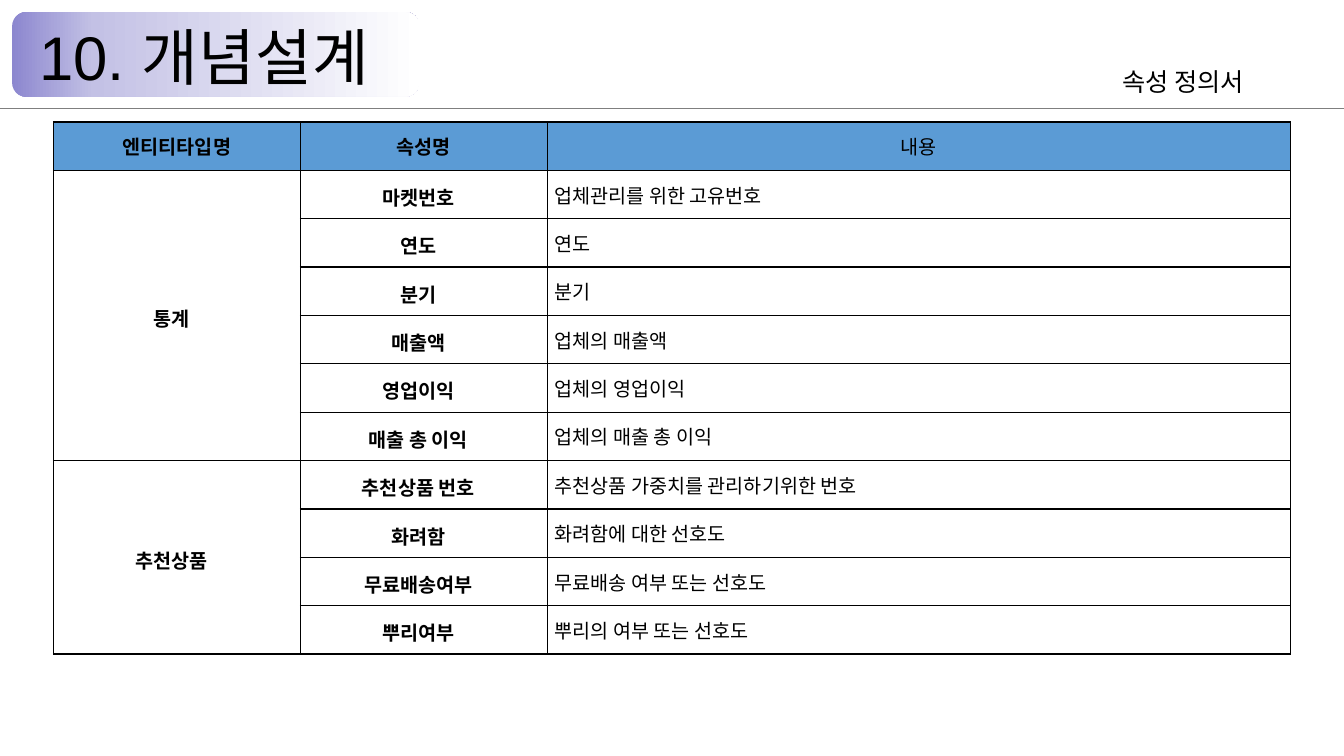
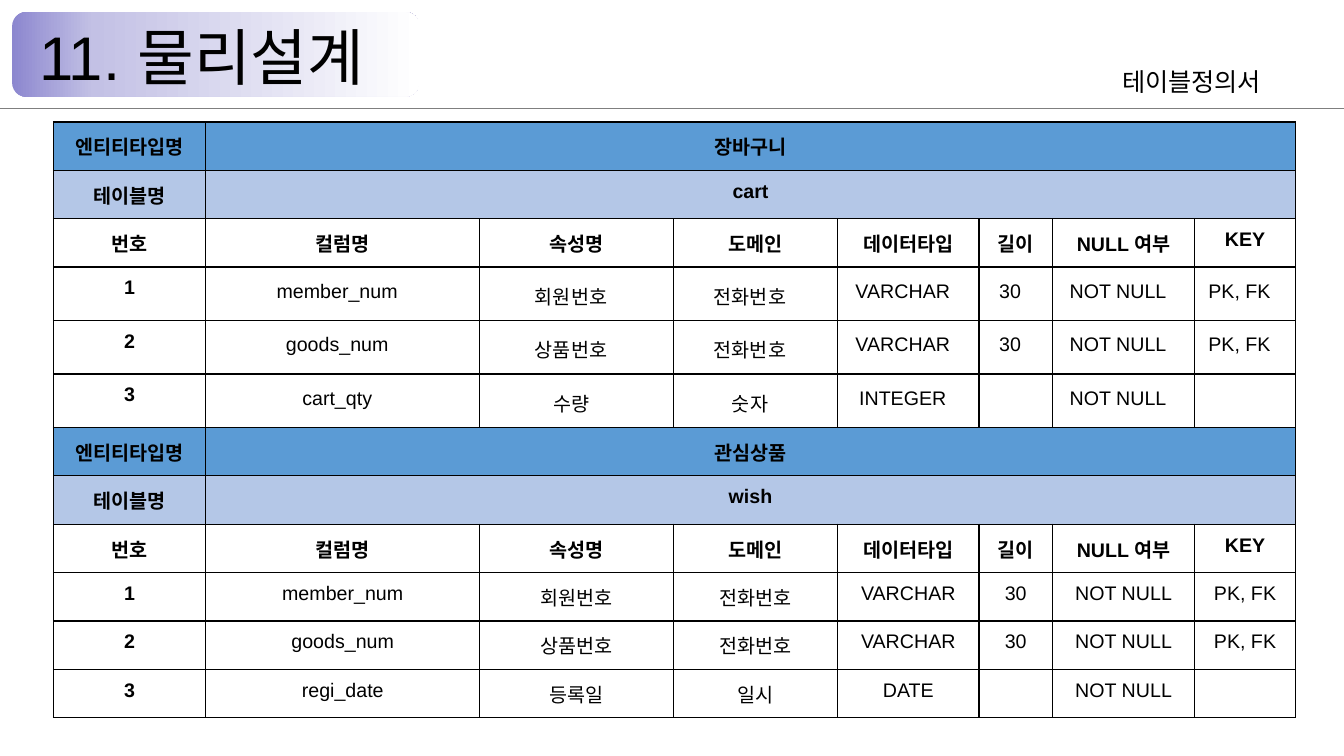
"""Build two design slides: attribute definitions and table definitions."""
import copy

import lxml.etree
import pptx
import pptx.dml.color
import pptx.enum.shapes
import pptx.enum.text
import pptx.oxml.ns
import pptx.util

Inches = pptx.util.Inches
Pt = pptx.util.Pt
RGBColor = pptx.dml.color.RGBColor
qn = pptx.oxml.ns.qn
MIDDLE = pptx.enum.text.MSO_ANCHOR.MIDDLE
TOP = pptx.enum.text.MSO_ANCHOR.TOP
CENTER = pptx.enum.text.PP_ALIGN.CENTER
LEFT = pptx.enum.text.PP_ALIGN.LEFT

FONT = "Arial"
BLACK = RGBColor(0x00, 0x00, 0x00)
GRAY = RGBColor(0x7F, 0x7F, 0x7F)
BLUE = RGBColor(0x5B, 0x9B, 0xD5)
PALE_BLUE = RGBColor(0xB4, 0xC7, 0xE7)
BADGE_STOPS = [
    (0, RGBColor(0x8C, 0x87, 0xCF)),
    (0.2, RGBColor(0xC3, 0xC1, 0xE5)),
    (1, RGBColor(0xFF, 0xFF, 0xFF)),
]
SLIDE_WIDTH = 13.33
TABLE_LEFT = 0.53
TABLE_TOP = 1.21
ROW_HEIGHT = 0.48
SHIFTED_RIGHT = 0.21


def write_text(holder, text, size, bold=False, align=LEFT, spacing=1.0):
    """Write one styled run into a text frame."""
    para = holder.paragraphs[0]
    para.alignment = align
    para.line_spacing = spacing
    span = para.add_run()
    span.text = text
    span.font.name = FONT
    span.font.size = Pt(size)
    span.font.bold = bold
    span.font.color.rgb = BLACK


def fill_cell(cell, text, bold=True, align=CENTER, anchor=TOP, spacing=1.0,
              side=0.1, right=None, edge=0.1, color=None):
    """Border, fill and write one table cell."""
    properties = cell._tc.get_or_add_tcPr()
    for side_name in ("lnL", "lnR", "lnT", "lnB"):
        border = lxml.etree.SubElement(properties, qn("a:" + side_name), w=str(Pt(1)))
        paint = lxml.etree.SubElement(border, qn("a:solidFill"))
        lxml.etree.SubElement(paint, qn("a:srgbClr"), val=str(BLACK))
    if color is None:
        cell.fill.background()
    else:
        cell.fill.solid()
        cell.fill.fore_color.rgb = color
    if text:
        cell.vertical_anchor = anchor
        cell.margin_left = Inches(side)
        cell.margin_right = Inches(right or side)
        cell.margin_top = cell.margin_bottom = Inches(edge)
        write_text(cell.text_frame, text, 14, bold, align, spacing)


deck = pptx.Presentation()
deck.slide_width = Inches(SLIDE_WIDTH)
deck.slide_height = Inches(7.5)

pages = []
for title, subtitle in [("10. 개념설계", "속성 정의서"), ("11. 물리설계", "테이블정의서")]:
    page = deck.slides.add_slide(deck.slide_layouts[6])
    pages.append(page)

    badge = page.shapes.add_shape(
        pptx.enum.shapes.MSO_SHAPE.ROUNDED_RECTANGLE,
        Inches(0.12), Inches(0.12), Inches(4.04), Inches(0.84))
    badge.shadow.inherit = False
    badge.line.fill.background()
    badge.fill.gradient()
    badge.fill.gradient_angle = 0
    stop_list = badge._element.spPr.find(".//" + qn("a:gsLst"))
    stop_list.append(copy.deepcopy(stop_list[-1]))
    for stop, (position, color) in zip(badge.fill.gradient_stops, BADGE_STOPS):
        stop.position = position
        stop.color.rgb = color

    rule = page.shapes.add_connector(
        pptx.enum.shapes.MSO_CONNECTOR.STRAIGHT,
        Inches(0), Inches(1.08), Inches(SLIDE_WIDTH), Inches(1.08))
    rule.line.color.rgb = GRAY
    rule.line.width = Pt(0.75)
    lxml.etree.SubElement(rule._element.spPr, qn("a:effectLst"))

    title_box = page.shapes.add_textbox(Inches(0.29), Inches(-0.12), Inches(11.5), Inches(1.45))
    title_box.text_frame.word_wrap = True
    title_box.text_frame.vertical_anchor = MIDDLE
    write_text(title_box.text_frame, title, 44, spacing=0.9)

    subtitle_box = page.shapes.add_textbox(Inches(11.03), Inches(0.61), Inches(2.31), Inches(0.4))
    subtitle_box.text_frame.word_wrap = True
    write_text(subtitle_box.text_frame, subtitle, 18)

attribute_page, table_page = pages

attribute_widths = [2.45, 2.45, 7.37]
entities = [
    ("통계", [
        ("마켓번호", "업체관리를 위한 고유번호"),
        ("연도", "연도"),
        ("분기", "분기"),
        ("매출액", "업체의 매출액"),
        ("영업이익", "업체의 영업이익"),
        ("매출 총 이익", "업체의 매출 총 이익"),
    ]),
    ("추천상품", [
        ("추천상품 번호", "추천상품 가중치를 관리하기위한 번호"),
        ("화려함", "화려함에 대한 선호도"),
        ("무료배송여부", "무료배송 여부 또는 선호도"),
        ("뿌리여부", "뿌리의 여부 또는 선호도"),
    ]),
]
row_count = 1 + sum(len(attributes) for entity, attributes in entities)
attribute_table = attribute_page.shapes.add_table(
    row_count, len(attribute_widths), Inches(TABLE_LEFT), Inches(TABLE_TOP),
    Inches(sum(attribute_widths)), Inches(ROW_HEIGHT * row_count)).table
for column, width in zip(attribute_table.columns, attribute_widths):
    column.width = Inches(width)
for index, heading in enumerate(["엔티티타입명", "속성명", "내용"]):
    fill_cell(attribute_table.cell(0, index), heading, bold=index < 2, anchor=MIDDLE, color=BLUE)
row = 1
for entity, attributes in entities:
    first_row = row
    for attribute, description in attributes:
        fill_cell(attribute_table.cell(row, 0), entity if row == first_row else "",
                  anchor=MIDDLE, spacing=1.15, right=SHIFTED_RIGHT, edge=0.05)
        fill_cell(attribute_table.cell(row, 1), attribute,
                  spacing=1.15, right=SHIFTED_RIGHT, edge=0.08)
        fill_cell(attribute_table.cell(row, 2), description, bold=False,
                  align=LEFT, anchor=MIDDLE, side=0.07, edge=0.07)
        row += 1
    attribute_table.cell(first_row, 0).merge(attribute_table.cell(row - 1, 0))

column_widths = [1.51, 2.72, 1.92, 1.63, 1.4, 0.73, 1.41, 1]
column_headings = ["번호", "컬럼명", "속성명", "도메인", "데이터타입", "길이", "NULL 여부", "KEY"]
key_columns = [
    ["1", "member_num", "회원번호", "전화번호", "VARCHAR", "30", "NOT NULL", "PK, FK"],
    ["2", "goods_num", "상품번호", "전화번호", "VARCHAR", "30", "NOT NULL", "PK, FK"],
]
definitions = [
    (TABLE_TOP, "장바구니", "cart", 0.53, 1.15, SHIFTED_RIGHT,
     ["3", "cart_qty", "수량", "숫자", "INTEGER", "", "NOT NULL", ""]),
    (4.24, "관심상품", "wish", ROW_HEIGHT, 1.0, 0.1,
     ["3", "regi_date", "등록일", "일시", "DATE", "", "NOT NULL", ""]),
]
for top, entity, table_name, data_height, spacing, right, last_column in definitions:
    heights = [ROW_HEIGHT] * 3 + [data_height] * 3
    definition_table = table_page.shapes.add_table(
        len(heights), len(column_widths), Inches(TABLE_LEFT), Inches(top),
        Inches(sum(column_widths)), Inches(sum(heights))).table
    for column, width in zip(definition_table.columns, column_widths):
        column.width = Inches(width)
    for table_row, height in zip(definition_table.rows, heights):
        table_row.height = Inches(height)

    banners = [("엔티티타입명", entity, BLUE), ("테이블명", table_name, PALE_BLUE)]
    for row, (label, name, color) in enumerate(banners):
        for index, text in enumerate([label, name] + [""] * 6):
            fill_cell(definition_table.cell(row, index), text, color=color)
        definition_table.cell(row, 1).merge(definition_table.cell(row, 7))
    for index, heading in enumerate(column_headings):
        fill_cell(definition_table.cell(2, index), heading)
    for row, values in enumerate(key_columns + [last_column], start=3):
        fill_cell(definition_table.cell(row, 0), values[0])
        for index, text in enumerate(values[1:], start=1):
            fill_cell(definition_table.cell(row, index), text, bold=False,
                      spacing=spacing, right=right)

deck.save("out.pptx")
